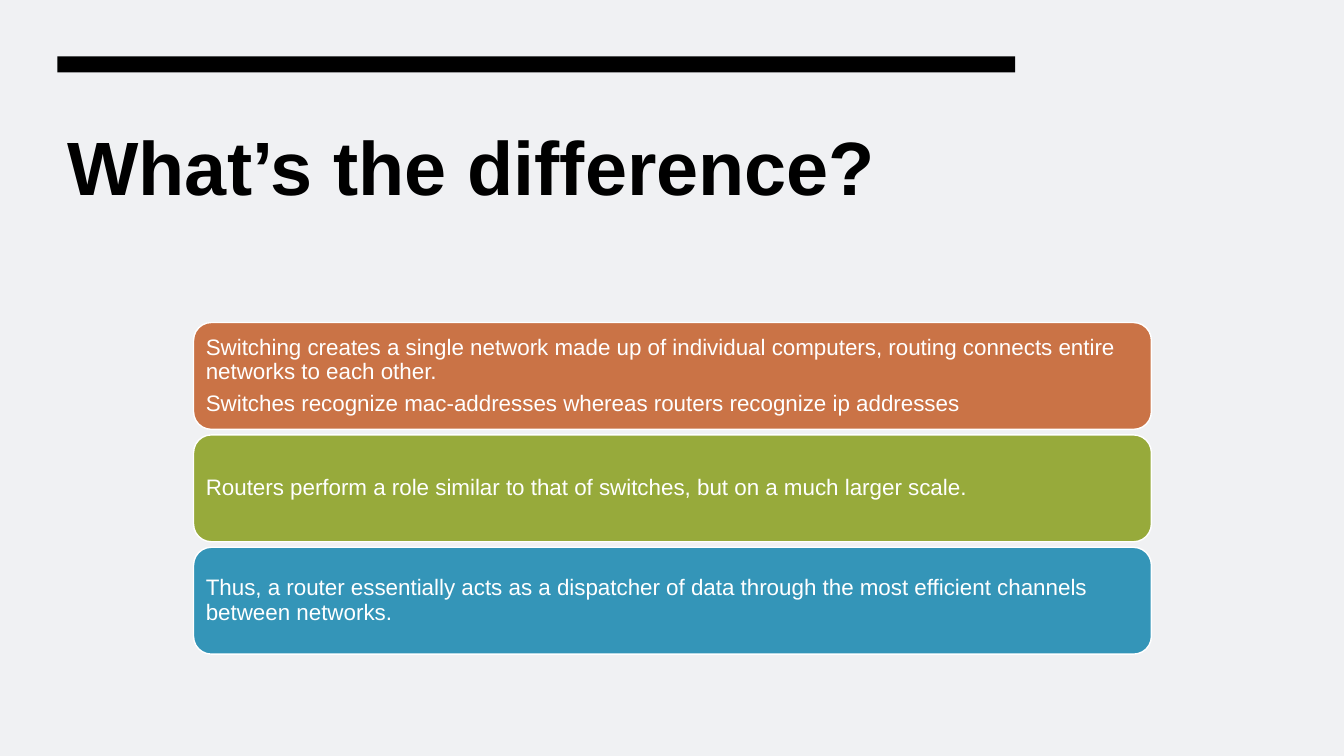
import dataclasses

import pptx
import pptx.dml.color
import pptx.enum.shapes
import pptx.enum.text
import pptx.util

Inches = pptx.util.Inches
Shapes = pptx.enum.shapes.MSO_SHAPE
Anchor = pptx.enum.text.MSO_ANCHOR

COLORS = {
    "background": "F0F1F3",
    "ink": "000000",
    "white": "FFFFFF",
    "orange": "CA7346",
    "green": "97AA3B",
    "blue": "3495B8",
}
CONTENT_WIDTH = 9.5
CARD_LEFT, CARD_TOP = 1.92, 3.2
CARD_HEIGHT, CARD_PITCH = 1.06, 1.115


@dataclasses.dataclass(frozen=True)
class Card:
    color: str
    statements: tuple[str, ...]


CARDS = (
    Card("orange", (
        "Switching creates a single network made up of individual computers, "
        "routing connects entire networks to each other.",
        "Switches recognize mac-addresses whereas routers recognize ip addresses",
    )),
    Card("green", (
        "Routers perform a role similar to that of switches, "
        "but on a much larger scale.",
    )),
    Card("blue", (
        "Thus, a router essentially acts as a dispatcher of data through "
        "the most efficient channels between networks.",
    )),
)


def rgb(name: str) -> pptx.dml.color.RGBColor:
    return pptx.dml.color.RGBColor.from_string(COLORS[name])


def write(shape, *statements: str, size: float, color: str, bold: bool = False,
          anchor=Anchor.TOP, inset_x: float = 0.1, inset_y: float = 0.05,
          line_spacing: float = 1.0, space_after: float = 0) -> None:
    """Fill a shape with one left-aligned paragraph per statement."""
    frame = shape.text_frame
    frame.word_wrap = True
    frame.auto_size = pptx.enum.text.MSO_AUTO_SIZE.NONE
    frame.vertical_anchor = anchor
    frame.margin_left = frame.margin_right = Inches(inset_x)
    frame.margin_top = frame.margin_bottom = Inches(inset_y)
    frame.text = "\n".join(statements)
    for paragraph in frame.paragraphs:
        paragraph.alignment = pptx.enum.text.PP_ALIGN.LEFT
        paragraph.line_spacing = line_spacing
        paragraph.space_before = pptx.util.Pt(0)
        paragraph.space_after = pptx.util.Pt(space_after)
        for run in paragraph.runs:
            run.font.name = "Arial"
            run.font.size = pptx.util.Pt(size)
            run.font.bold = bold
            run.font.color.rgb = rgb(color)


def add_block(slide, kind, left: float, top: float, height: float,
              fill: str, outline: str | None = None):
    """Add a filled block of the common content width."""
    block = slide.shapes.add_shape(kind, Inches(left), Inches(top),
                                   Inches(CONTENT_WIDTH), Inches(height))
    block.shadow.inherit = False
    block.fill.solid()
    block.fill.fore_color.rgb = rgb(fill)
    if outline:
        block.line.color.rgb = rgb(outline)
        block.line.width = pptx.util.Pt(1)
    else:
        block.line.fill.background()
    return block


def add_card(slide, card: Card, top: float) -> None:
    block = add_block(slide, Shapes.ROUNDED_RECTANGLE, CARD_LEFT, top,
                      CARD_HEIGHT, card.color, outline="white")
    write(block, *card.statements, size=16, color="white", anchor=Anchor.MIDDLE,
          inset_x=0.07, line_spacing=0.9, space_after=5.6)


def main() -> None:
    deck = pptx.Presentation()
    deck.slide_width, deck.slide_height = Inches(13.33), Inches(7.5)
    slide = deck.slides.add_slide(deck.slide_layouts.get_by_name("Title Only"))
    slide.background.fill.solid()
    slide.background.fill.fore_color.rgb = rgb("background")

    # Title
    title = slide.shapes.title
    title.left, title.top = Inches(0.57), Inches(1.07)
    title.width, title.height = Inches(CONTENT_WIDTH), Inches(2.12)
    write(title, "What’s the difference?", size=54, color="ink", bold=True,
          inset_y=0.12)

    # Bar above the title
    add_block(slide, Shapes.RECTANGLE, 0.57, 0.56, 0.16, "ink")

    # Stacked statement cards
    for row, card in enumerate(CARDS):
        add_card(slide, card, CARD_TOP + row * CARD_PITCH)

    deck.save("out.pptx")


if __name__ == "__main__":
    main()
